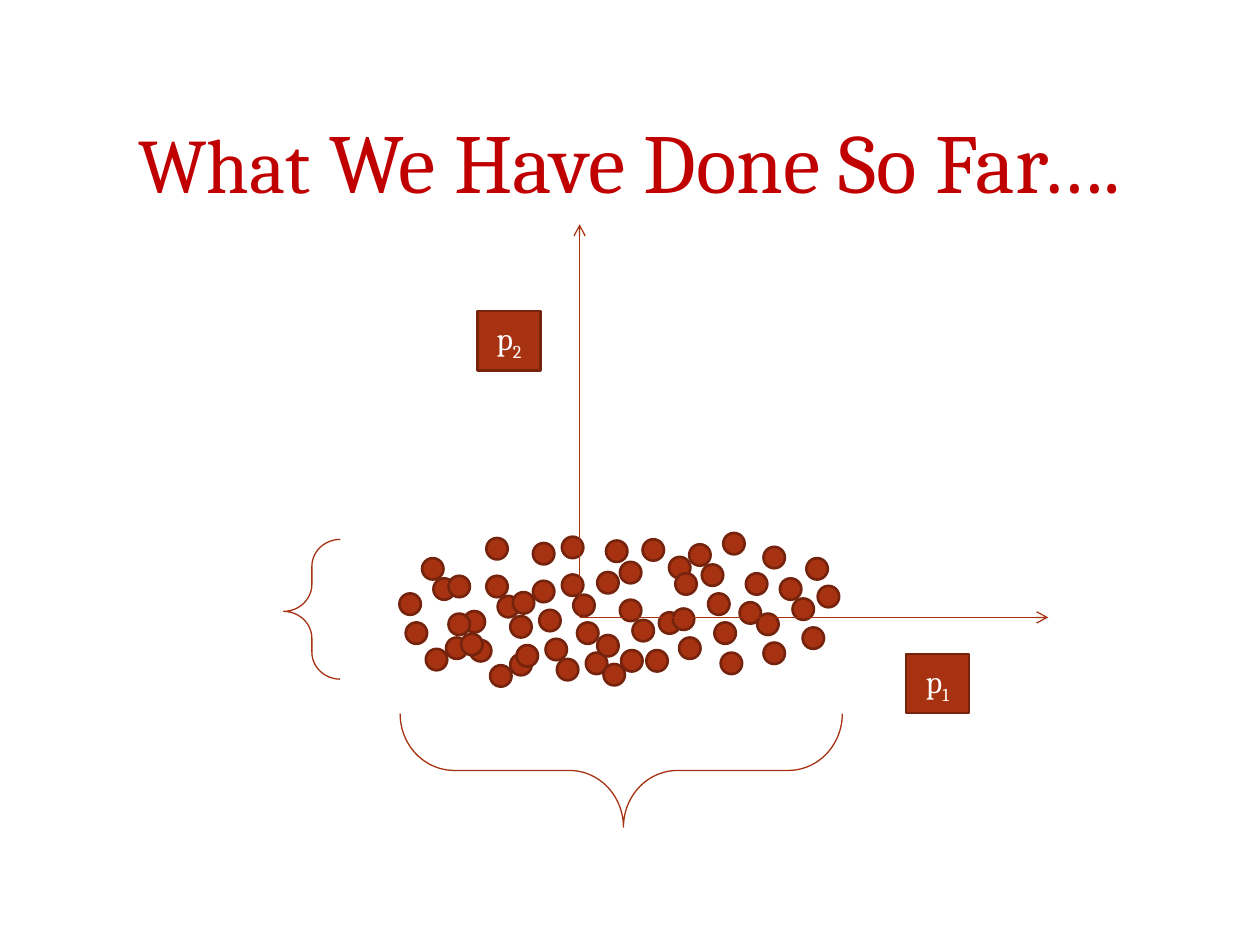
from lxml import etree
from pptx import Presentation
from pptx import util as u
from pptx.dml.color import RGBColor
from pptx.enum import shapes, text
from pptx.oxml.ns import qn

RUST, DARK, RED, WHITE = "A63212", "75230C", "C00000", "FFFFFF"
FONT = "Cambria"
DOT_SIZE = 0.17
ORIGIN = (4.6, 4.9)
DOTS = [
    (4.46, 4.26), (4.46, 4.56), (4.55, 4.72), (4.28, 4.84), (4.33, 5.07),
    (4.65, 5.18), (4.92, 4.46), (4.92, 4.76), (5.02, 4.92), (4.74, 5.04),
    (4.79, 5.27), (5.23, 4.86), (3.86, 4.27), (3.86, 4.57), (3.95, 4.73),
    (3.68, 4.85), (3.73, 5.08), (4.05, 5.19), (5.31, 4.42), (3.35, 4.43),
    (3.44, 4.59), (3.17, 4.71), (3.22, 4.94), (3.54, 5.06), (5.36, 4.55),
    (5.47, 4.32), (5.57, 4.48), (6.49, 4.65), (5.34, 4.83), (5.67, 4.94),
    (6.37, 4.98), (5.13, 5.16), (5.62, 4.71), (5.87, 4.78), (5.39, 5.06),
    (5.72, 5.18), (4.23, 4.31), (4.23, 4.61), (4.58, 4.94), (4.05, 4.89),
    (4.1, 5.12), (4.42, 5.23), (4.07, 4.7), (4.74, 4.54), (4.81, 4.29),
    (3.89, 5.28), (5.74, 4.23), (6.06, 4.34), (3.56, 4.57), (3.56, 4.87),
    (3.66, 5.03), (3.38, 5.15), (4.93, 5.16), (5.1, 4.28), (6.4, 4.43),
    (6.19, 4.59), (6.29, 4.75), (6.01, 4.87), (6.06, 5.1), (5.92, 4.55),
]


def colour(value):
    return RGBColor.from_string(value)


class Sketch:
    def __init__(self, slide):
        self.slide = slide

    def shape(self, parent, kind, left, top, width, height):
        shape = parent.add_shape(kind, *map(u.Inches, (left, top, width, height)))
        shape.shadow.inherit = False
        return shape

    def solid(self, parent, kind, *place):
        shape = self.shape(parent, kind, *place)
        shape.fill.solid()
        shape.fill.fore_color.rgb = colour(RUST)
        shape.line.color.rgb = colour(DARK)
        shape.line.width = u.Pt(1.5)
        return shape

    def centre(self, box):
        frame = box.text_frame
        frame.word_wrap = True
        frame.vertical_anchor = text.MSO_ANCHOR.MIDDLE
        para = frame.paragraphs[0]
        para.alignment = text.PP_ALIGN.CENTER
        return para

    def span(self, para, words, size, tint):
        span = para.add_run()
        span.text = words
        span.font.name = FONT
        span.font.size = u.Pt(size)
        span.font.color.rgb = colour(tint)
        return span

    def title(self, runs):
        place = map(u.Inches, (0.6, 0.48, 8.79, 1.58))
        para = self.centre(self.slide.shapes.add_textbox(*place))
        for words, size in runs:
            self.span(para, words, size, RED)

    def cloud(self, points):
        group = self.slide.shapes.add_group_shape()
        for left, top in points:
            self.solid(group.shapes, shapes.MSO_SHAPE.OVAL, left, top, DOT_SIZE, DOT_SIZE)

    def axes(self, ends):
        group = self.slide.shapes.add_group_shape()
        for end in ends:
            axis = group.shapes.add_connector(
                shapes.MSO_CONNECTOR.STRAIGHT, *map(u.Inches, ORIGIN + end))
            axis.line.color.rgb = colour(RUST)
            axis.line.width = u.Pt(0.75)
            etree.SubElement(axis.line._get_or_add_ln(), qn("a:tailEnd"), type="arrow")
            etree.SubElement(axis._element.spPr, qn("a:effectLst"))

    def label(self, left, top, letter, index):
        box = self.solid(self.slide.shapes, shapes.MSO_SHAPE.RECTANGLE, left, top, 0.5, 0.47)
        para = self.centre(box)
        self.span(para, letter, 18, WHITE)
        subscript = self.span(para, index, 18, WHITE)
        subscript.font._element.set("baseline", "-25000")

    def brace(self, place, rotation, tip):
        brace = self.shape(self.slide.shapes, shapes.MSO_SHAPE.RIGHT_BRACE, *place)
        brace.rotation = rotation
        brace.adjustments[0] = 0.477
        brace.adjustments[1] = tip
        brace.fill.background()
        brace.line.color.rgb = colour(RUST)
        brace.line.width = u.Pt(0.75)


def main():
    deck = Presentation()
    deck.slide_width, deck.slide_height = u.Inches(10), u.Inches(7.5)
    sketch = Sketch(deck.slides.add_slide(deck.slide_layouts[6]))
    sketch.title([("What", 44), (" We Have Done So Far….", 48)])
    sketch.cloud(DOTS)
    sketch.axes([(8.32, 4.9), (4.6, 1.78)])
    sketch.label(7.19, 5.19, "p", "1")
    sketch.label(3.79, 2.47, "p", "2")
    sketch.brace((4.48, 4.36, 0.9, 3.51), 90, 0.495)
    sketch.brace((2.25, 4.28, 0.45, 1.11), 180, 0.485)
    deck.save("out.pptx")


if __name__ == "__main__":
    main()
